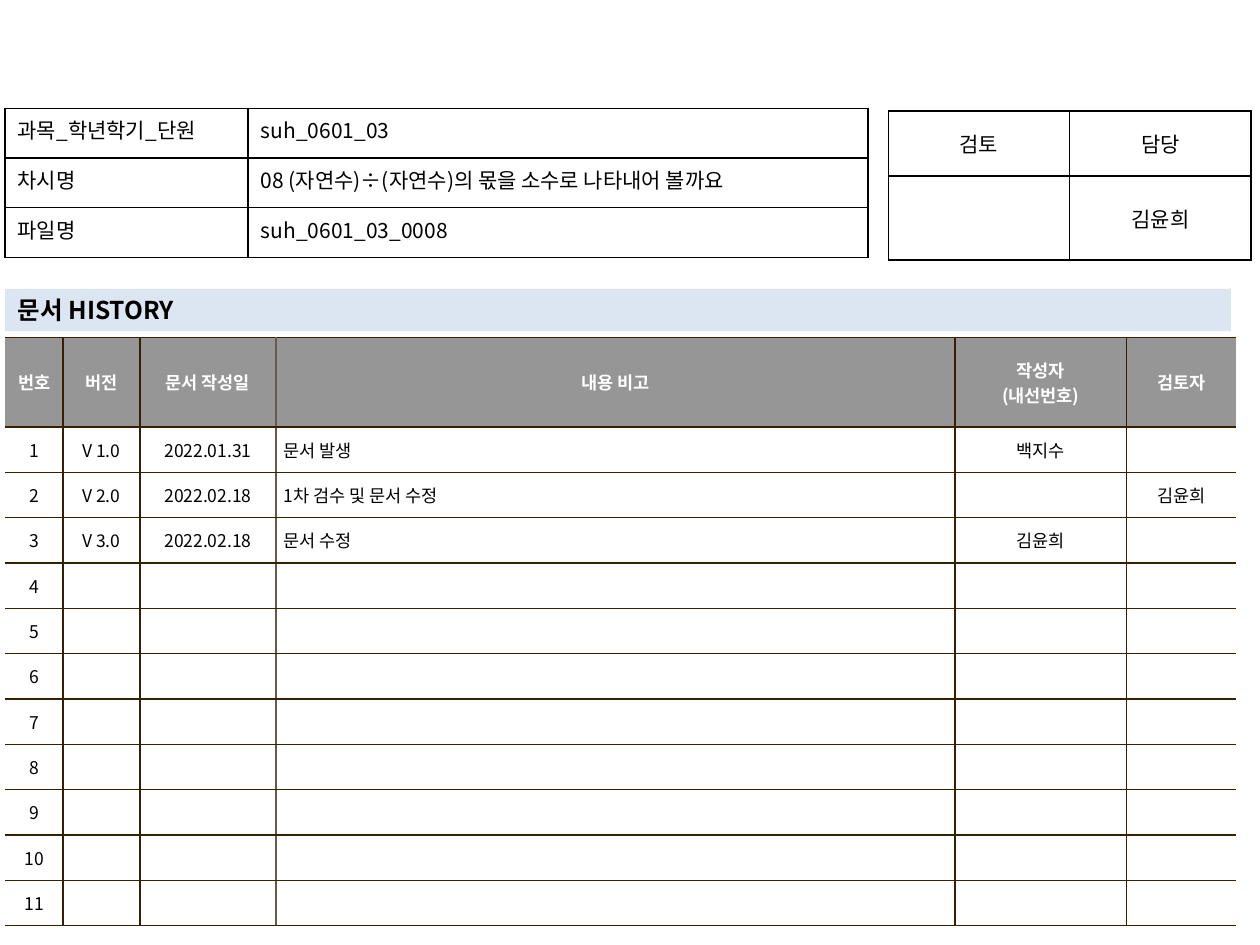
from dataclasses import dataclass

from lxml.etree import SubElement
from pptx import Presentation
from pptx.dml.color import RGBColor
from pptx.enum.text import MSO_ANCHOR, MSO_AUTO_SIZE, PP_ALIGN
from pptx.oxml.ns import qn
from pptx.util import Pt

FONT = "Noto Sans CJK KR"
BLACK, WHITE = "000000", "FFFFFF"
GRAY, PALE_BLUE = "969696", "DCE6F2"
BROWN, LIGHT_BROWN = "362000", "645B4C"
LEFT, CENTER, JUSTIFY = PP_ALIGN.LEFT, PP_ALIGN.CENTER, PP_ALIGN.JUSTIFY
TOP, MIDDLE = MSO_ANCHOR.TOP, MSO_ANCHOR.MIDDLE


@dataclass
class Grid:
    left: float
    top: float
    widths: list[float]
    heights: list[float]
    rows: list[list[str]]
    alignments: list
    size: float = 12
    anchor: MSO_ANCHOR = MIDDLE
    margins: tuple[float, float] = (7.2, 3.6)
    line: str = BLACK
    fill: str | None = None
    header_fill: str | None = None
    open_sides: bool = False
    soft_edge: int | None = None


HISTORY = Grid(
    2.88, 192.96,
    [33.12, 43.92, 77.76, 388.08, 97.92, 62.64],
    [51] + [20] * 3 + [23.2] * 4 + [20] * 4,
    [
        ["번호", "버전", "문서 작성일", "내용 비고", "작성자\n(내선번호)", "검토자"],
        ["1", "V 1.0", "2022.01.31", "문서 발생", "백지수", ""],
        ["2", "V 2.0", "2022.02.18", "1차 검수 및 문서 수정", "", "김윤희"],
        ["3", "V 3.0", "2022.02.18", "문서 수정", "김윤희", ""],
    ] + [[str(number)] + [""] * 5 for number in range(4, 12)],
    [CENTER, CENTER, CENTER, LEFT, CENTER, CENTER],
    size=10, margins=(4.32, 2.88), line=BROWN, fill=WHITE,
    header_fill=GRAY, open_sides=True, soft_edge=3,
)
APPROVAL = Grid(
    507.6, 63.36, [103.68] * 2, [37.2, 48],
    [["검토", "담당"], ["", "김윤희"]], [CENTER, CENTER],
)
LESSON = Grid(
    2.88, 61.92, [138.96, 354.24], [28.4] * 3,
    [
        ["과목_학년학기_단원", "suh_0601_03"],
        ["차시명", "08 (자연수)÷(자연수)의 몫을 소수로 나타내어 볼까요"],
        ["파일명", "suh_0601_03_0008"],
    ],
    [JUSTIFY, LEFT], anchor=TOP,
)


def color(value: str) -> RGBColor:
    return RGBColor.from_string(value)


def write(frame, text: str, *, size: float, ink: str = BLACK,
          bold: bool = False, align=LEFT) -> None:
    for index, line in enumerate(text.split("\n")):
        para = frame.paragraphs[0] if index == 0 else frame.add_paragraph()
        para.alignment = align
        span = para.add_run()
        span.text = line
        span.font.size = Pt(size)
        span.font.bold = bold
        span.font.color.rgb = color(ink)
        span.font.name = FONT
        latin = span.font._element.find(qn("a:latin"))
        east_asian = latin.makeelement(qn("a:ea"), {"typeface": FONT})
        latin.addnext(east_asian)


def set_borders(cell, borders: dict[str, str | None]) -> None:
    properties = cell._tc.get_or_add_tcPr()
    for side, value in borders.items():
        line = SubElement(properties, qn(f"a:ln{side}"), w=str(Pt(1)))
        if value is None:
            SubElement(line, qn("a:noFill"))
        else:
            paint = SubElement(line, qn("a:solidFill"))
            SubElement(paint, qn("a:srgbClr"), val=value)


def edge_color(grid: Grid, edge: int) -> str | None:
    if grid.open_sides and edge in (0, len(grid.widths)):
        return None
    return LIGHT_BROWN if edge == grid.soft_edge else grid.line


def draw_table(page, grid: Grid) -> None:
    table = page.shapes.add_table(
        len(grid.heights), len(grid.widths), Pt(grid.left), Pt(grid.top),
        Pt(sum(grid.widths)), Pt(sum(grid.heights)),
    ).table
    table.horz_banding = False
    table.first_row = grid.header_fill is not None
    for column, width in zip(table.columns, grid.widths):
        column.width = Pt(width)
    for row, height in zip(table.rows, grid.heights):
        row.height = Pt(height)
    for row_index, texts in enumerate(grid.rows):
        header = row_index == 0 and grid.header_fill is not None
        for column_index, text in enumerate(texts):
            cell = table.cell(row_index, column_index)
            cell.vertical_anchor = grid.anchor
            cell.margin_left = cell.margin_right = Pt(grid.margins[0])
            cell.margin_top = cell.margin_bottom = Pt(grid.margins[1])
            set_borders(cell, {
                "L": edge_color(grid, column_index),
                "R": edge_color(grid, column_index + 1),
                "T": grid.line,
                "B": grid.line,
            })
            fill = grid.header_fill if header else grid.fill
            if fill is None:
                cell.fill.background()
            else:
                cell.fill.solid()
                cell.fill.fore_color.rgb = color(fill)
            write(cell.text_frame, text, size=grid.size,
                  ink=WHITE if header else BLACK, bold=header,
                  align=CENTER if header else grid.alignments[column_index])


def draw_title(page, text: str) -> None:
    box = page.shapes.title
    box.left, box.top, box.width, box.height = Pt(2.88), Pt(165), Pt(700.56), Pt(24.3)
    box.fill.solid()
    box.fill.fore_color.rgb = color(PALE_BLUE)
    frame = box.text_frame
    frame.auto_size = MSO_AUTO_SIZE.NONE
    frame.word_wrap = True
    frame.vertical_anchor = MIDDLE
    write(frame, text, size=14, bold=True)


def main() -> None:
    deck = Presentation()
    deck.slide_width, deck.slide_height = Pt(720), Pt(540)
    page = deck.slides.add_slide(deck.slide_layouts[5])
    draw_title(page, "문서 HISTORY")
    for grid in (HISTORY, APPROVAL, LESSON):
        draw_table(page, grid)
    deck.save("out.pptx")


if __name__ == "__main__":
    main()
